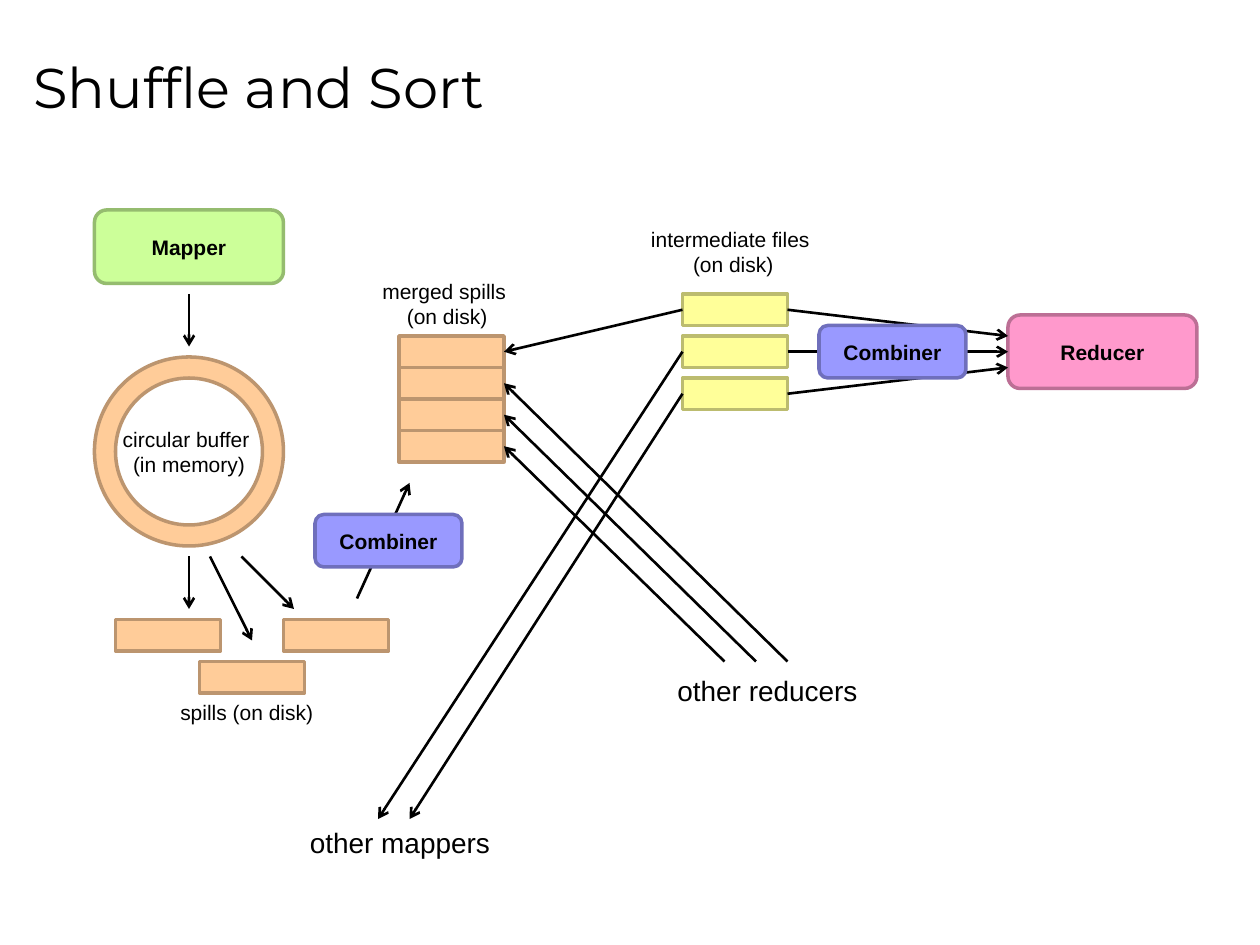
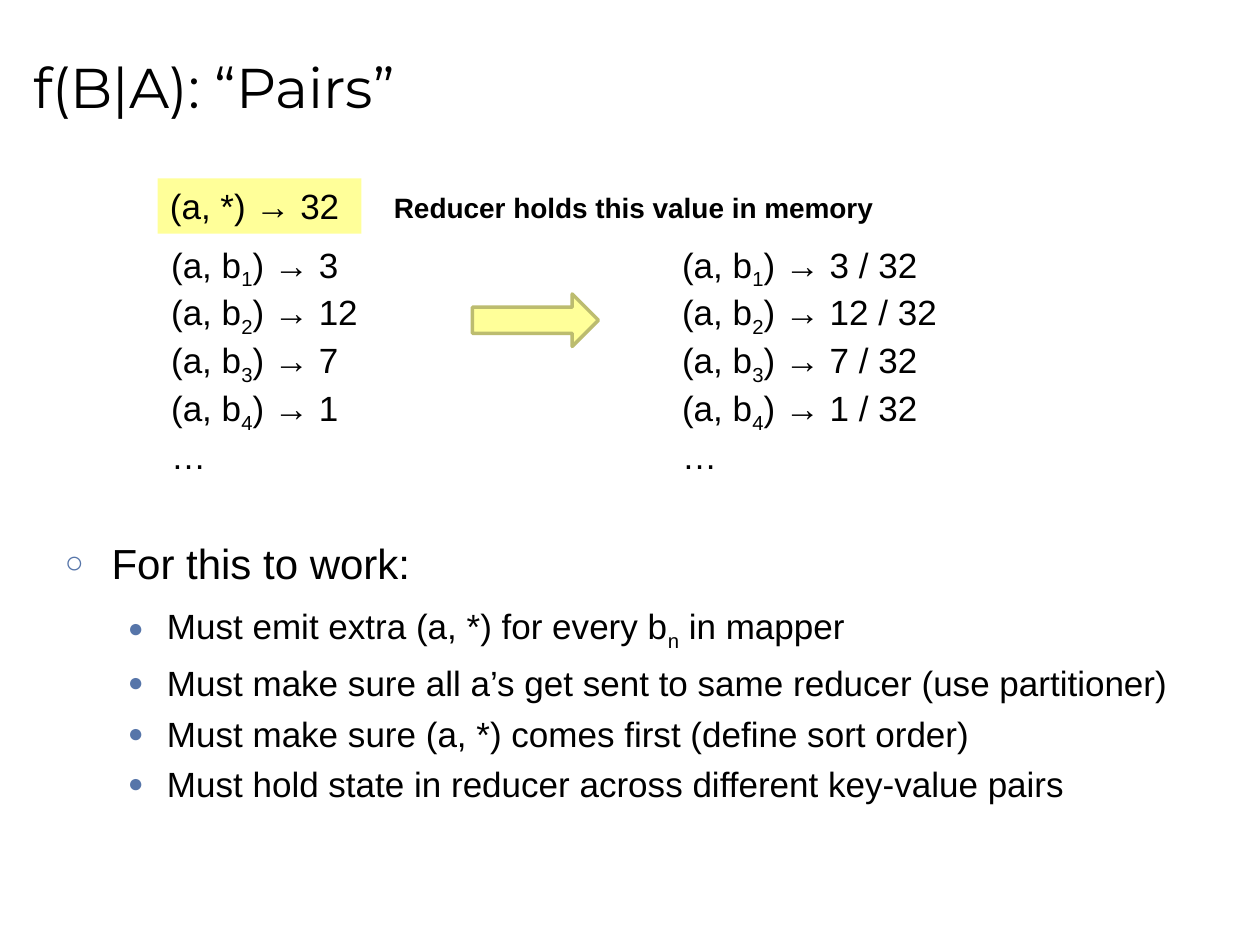
"""Build two slides on MapReduce: shuffle and sort, and the "pairs" approach."""
from dataclasses import dataclass

from lxml import etree
from pptx import Presentation
from pptx.dml.color import RGBColor
from pptx.enum.shapes import MSO_CONNECTOR, MSO_SHAPE
from pptx.enum.text import MSO_ANCHOR, MSO_AUTO_SIZE, PP_ALIGN
from pptx.oxml.ns import qn
from pptx.slide import Slide
from pptx.util import Pt

STRAIGHT = MSO_CONNECTOR.STRAIGHT
RECTANGLE = MSO_SHAPE.RECTANGLE
ROUNDED = MSO_SHAPE.ROUNDED_RECTANGLE
OVAL = MSO_SHAPE.OVAL
RIGHT_ARROW = MSO_SHAPE.RIGHT_ARROW
TOP, MIDDLE = MSO_ANCHOR.TOP, MSO_ANCHOR.MIDDLE
FIT_SHAPE = MSO_AUTO_SIZE.SHAPE_TO_FIT_TEXT
LEFT, CENTER = PP_ALIGN.LEFT, PP_ALIGN.CENTER

BLACK = RGBColor(0x00, 0x00, 0x00)
WHITE = RGBColor(0xFF, 0xFF, 0xFF)
BULLET_BLUE = RGBColor(0x56, 0x75, 0xA9)
YELLOW = RGBColor(0xFF, 0xFF, 0x99)
ORANGE_EDGE = RGBColor(0xBC, 0x95, 0x6F)

BODY_FONT, TITLE_FONT = "Arial", "Montserrat"


@dataclass(frozen=True)
class Paint:
    """Fill and outline colours."""
    fill: RGBColor
    edge: RGBColor


GREEN_PAINT = Paint(RGBColor(0xCC, 0xFF, 0x99), RGBColor(0x95, 0xBC, 0x6F))
PINK_PAINT = Paint(RGBColor(0xFF, 0x99, 0xCC), RGBColor(0xBC, 0x6F, 0x95))
PURPLE_PAINT = Paint(RGBColor(0x99, 0x99, 0xFF), RGBColor(0x6F, 0x6F, 0xBC))
ORANGE_PAINT = Paint(RGBColor(0xFF, 0xCC, 0x99), ORANGE_EDGE)
YELLOW_PAINT = Paint(YELLOW, RGBColor(0xBC, 0xBC, 0x6F))
HOLE_PAINT = Paint(WHITE, ORANGE_EDGE)


@dataclass(frozen=True)
class Block:
    """An outlined preset shape, with an optional bold name; lengths in points."""
    left: float
    top: float
    width: float
    height: float
    paint: Paint
    kind: MSO_SHAPE = RECTANGLE
    name: str = ""


@dataclass(frozen=True)
class Label:
    """A text box; underscores enclose subscripts, lengths are in points."""
    lines: tuple[str, ...]
    left: float
    top: float
    width: float
    height: float
    size: float = 12
    align: PP_ALIGN = CENTER
    bold: bool = False
    font: str = BODY_FONT
    anchor: MSO_ANCHOR = TOP
    wrap: bool = False
    fill: RGBColor | None = None


@dataclass(frozen=True)
class Arrow:
    """A straight arrow with its head at the end; lengths in points."""
    x1: float
    y1: float
    x2: float
    y2: float


@dataclass(frozen=True)
class BulletLevel:
    """Look of one outline level; lengths in points."""
    symbol: str
    size: float
    margin: float
    hanging: float
    gap: float


OUTLINE = (
    BulletLevel("○", 24, 26.64, 26.64, 7.5),
    BulletLevel("●", 20, 58.32, 22.32, 2.5),
)


def style_paragraph(paragraph, size: float, bold: bool = False,
                    font: str = BODY_FONT) -> None:
    """Set the font of a whole paragraph."""
    paragraph.font.name = font
    paragraph.font.size = Pt(size)
    paragraph.font.bold = bold
    paragraph.font.color.rgb = BLACK


def write_line(paragraph, line: str) -> None:
    """Write a line, lowering the parts enclosed by underscores."""
    if "_" not in line:
        paragraph.text = line
        return
    for index, part in enumerate(line.split("_")):
        run = paragraph.add_run()
        run.text = part
        if index % 2:
            run._r.get_or_add_rPr().set("baseline", "-25000")


def paragraphs_for(frame, count: int) -> list:
    """Return the first paragraph of a frame plus the further ones needed."""
    return [frame.paragraphs[0]] + [frame.add_paragraph() for _ in range(count - 1)]


def draw_block(slide: Slide, block: Block) -> None:
    """Draw an outlined shape and its name."""
    shape = slide.shapes.add_shape(block.kind, Pt(block.left), Pt(block.top),
                                   Pt(block.width), Pt(block.height))
    shape.shadow.inherit = False
    shape.fill.solid()
    shape.fill.fore_color.rgb = block.paint.fill
    shape.line.color.rgb = block.paint.edge
    shape.line.width = Pt(2)
    if block.name:
        shape.text_frame.vertical_anchor = MIDDLE
        paragraph = shape.text_frame.paragraphs[0]
        paragraph.text = block.name
        paragraph.alignment = CENTER
        style_paragraph(paragraph, 12, bold=True)


def draw_label(slide: Slide, label: Label) -> None:
    """Draw a text box."""
    box = slide.shapes.add_textbox(Pt(label.left), Pt(label.top),
                                   Pt(label.width), Pt(label.height))
    if label.fill is not None:
        box.fill.solid()
        box.fill.fore_color.rgb = label.fill
    frame = box.text_frame
    frame.word_wrap = label.wrap
    frame.vertical_anchor = label.anchor
    if label.anchor == TOP:
        frame.auto_size = FIT_SHAPE
    for paragraph, line in zip(paragraphs_for(frame, len(label.lines)), label.lines):
        write_line(paragraph, line)
        paragraph.alignment = label.align
        style_paragraph(paragraph, label.size, label.bold, label.font)


def draw_arrow(slide: Slide, arrow: Arrow) -> None:
    """Draw a black line with an open arrowhead."""
    connector = slide.shapes.add_connector(STRAIGHT, Pt(arrow.x1), Pt(arrow.y1),
                                           Pt(arrow.x2), Pt(arrow.y2))
    connector.line.color.rgb = BLACK
    connector.line.width = Pt(1.5)
    etree.SubElement(connector.line._get_or_add_ln(), qn("a:tailEnd"), type="arrow")
    etree.SubElement(connector._element.spPr, qn("a:effectLst"))


def add_bullet(paragraph, level: BulletLevel) -> None:
    """Give a paragraph a coloured bullet and a hanging indent."""
    properties = paragraph._p.get_or_add_pPr()
    properties.set("marL", str(Pt(level.margin)))
    properties.set("indent", str(-Pt(level.hanging)))
    color = etree.SubElement(properties, qn("a:buClr"))
    etree.SubElement(color, qn("a:srgbClr"), val=str(BULLET_BLUE))
    etree.SubElement(properties, qn("a:buSzPct"), val="75000")
    etree.SubElement(properties, qn("a:buFont"), typeface=BODY_FONT)
    etree.SubElement(properties, qn("a:buChar"), char=level.symbol)


def draw_outline(slide: Slide, items: tuple[tuple[int, str], ...]) -> None:
    """Draw the bulleted body in the space below the key-value pairs."""
    frame = slide.shapes.add_textbox(Pt(30), Pt(84), Pt(666), Pt(402)).text_frame
    frame.word_wrap = True
    frame.margin_top = Pt(222.9)
    for paragraph, (depth, line) in zip(paragraphs_for(frame, len(items)), items):
        level = OUTLINE[depth]
        write_line(paragraph, line)
        paragraph.level = depth
        add_bullet(paragraph, level)
        paragraph.space_before = paragraph.space_after = Pt(level.gap)
        style_paragraph(paragraph, level.size)


def add_titled_slide(deck, title: str) -> Slide:
    """Add a blank slide with the shared title."""
    slide = deck.slides.add_slide(deck.slide_layouts[6])
    draw_label(slide, Label((title,), 12, 8.64, 684, 80.64, 32, LEFT,
                            font=TITLE_FONT, anchor=MIDDLE, wrap=True))
    return slide


def build_shuffle_and_sort(deck) -> None:
    """Build the data flow from mapper to reducer."""
    slide = add_titled_slide(deck, "Shuffle and Sort")
    spills = [Block(x, y, 60, 18, ORANGE_PAINT)
              for x, y in ((114, 378), (66, 354), (162, 354))]
    merged_spills = [Block(228, 192 + 18 * i, 60, 18, ORANGE_PAINT) for i in range(4)]
    intermediate_files = [Block(390, 168 + 24 * i, 60, 18, YELLOW_PAINT)
                          for i in range(3)]
    stages = [
        Block(54, 120, 108, 42, GREEN_PAINT, ROUNDED, "Mapper"),
        Block(576, 180, 108, 42, PINK_PAINT, ROUNDED, "Reducer"),
        Block(54, 204, 108, 108, ORANGE_PAINT, OVAL),
        Block(66, 216, 84, 84, HOLE_PAINT, OVAL),
    ]
    for block in stages + spills + merged_spills + intermediate_files:
        draw_block(slide, block)

    arrows = [
        Arrow(108, 168, 108, 198),
        Arrow(108, 318, 108, 348),
        Arrow(120, 318, 144, 366),
        Arrow(138, 318, 168, 348),
        Arrow(204, 342, 234, 276),
        Arrow(390, 177, 288, 201),
        Arrow(390, 201, 216, 468),
        Arrow(390, 225, 234, 468),
    ]
    from_other_reducers = [Arrow(450 - 18 * i, 378, 288, 219 + 18 * i) for i in range(3)]
    into_reducer = [Arrow(450, 177 + 24 * i, 576, 192 + 9 * i) for i in range(3)]
    for arrow in arrows + from_other_reducers + into_reducer:
        draw_arrow(slide, arrow)

    for label in (
        Label(("other mappers",), 170, 468, 120, 26.6, 16, LEFT),
        Label(("other reducers",), 380, 381.6, 120, 26.6, 16, LEFT),
        Label(("circular buffer \v(in memory)",), 60, 240, 96, 36, wrap=True),
        Label(("spills (on disk)",), 93, 396, 96, 21.6),
        Label(("merged spills \v(on disk)",), 207.5, 155.5, 96, 36),
        Label(("intermediate files \v(on disk)",), 359, 126, 120, 36),
    ):
        draw_label(slide, label)

    for left, top in ((180, 294), (468, 186)):
        draw_block(slide, Block(left, top, 84, 30, PURPLE_PAINT, ROUNDED, "Combiner"))


def build_pairs(deck) -> None:
    """Build the relative frequency example with pairs."""
    slide = add_titled_slide(deck, "f(B|A): “Pairs”")
    draw_outline(slide, (
        (0, "For this to work:"),
        (1, "Must emit extra (a, *) for every b_n_ in mapper"),
        (1, "Must make sure all a’s get sent to same reducer (use partitioner)"),
        (1, "Must make sure (a, *) comes first (define sort order)"),
        (1, "Must hold state in reducer across different key-value pairs"),
    ))
    for left, width, suffix in ((90.7, 130, ""), (382.7, 166, " / 32")):
        pairs = [f"(a, b_{n}_) → {count}{suffix}"
                 for n, count in enumerate((3, 12, 7, 1), start=1)]
        draw_label(slide, Label((*pairs, "…"), left, 135.4, width, 140.4, 20, LEFT))
    draw_block(slide, Block(270, 168, 72, 30, YELLOW_PAINT, RIGHT_ARROW))
    draw_label(slide, Label(("(a, *) → 32",), 90, 102, 116.6, 31.5, 20, LEFT, fill=YELLOW))
    draw_label(slide, Label(("Reducer holds this value in memory",),
                            218, 105.4, 294, 26.6, 16, LEFT, bold=True))


def main() -> None:
    """Build and save the deck."""
    deck = Presentation()
    deck.slide_width, deck.slide_height = Pt(720), Pt(540)
    build_shuffle_and_sort(deck)
    build_pairs(deck)
    deck.save("out.pptx")


if __name__ == "__main__":
    main()
